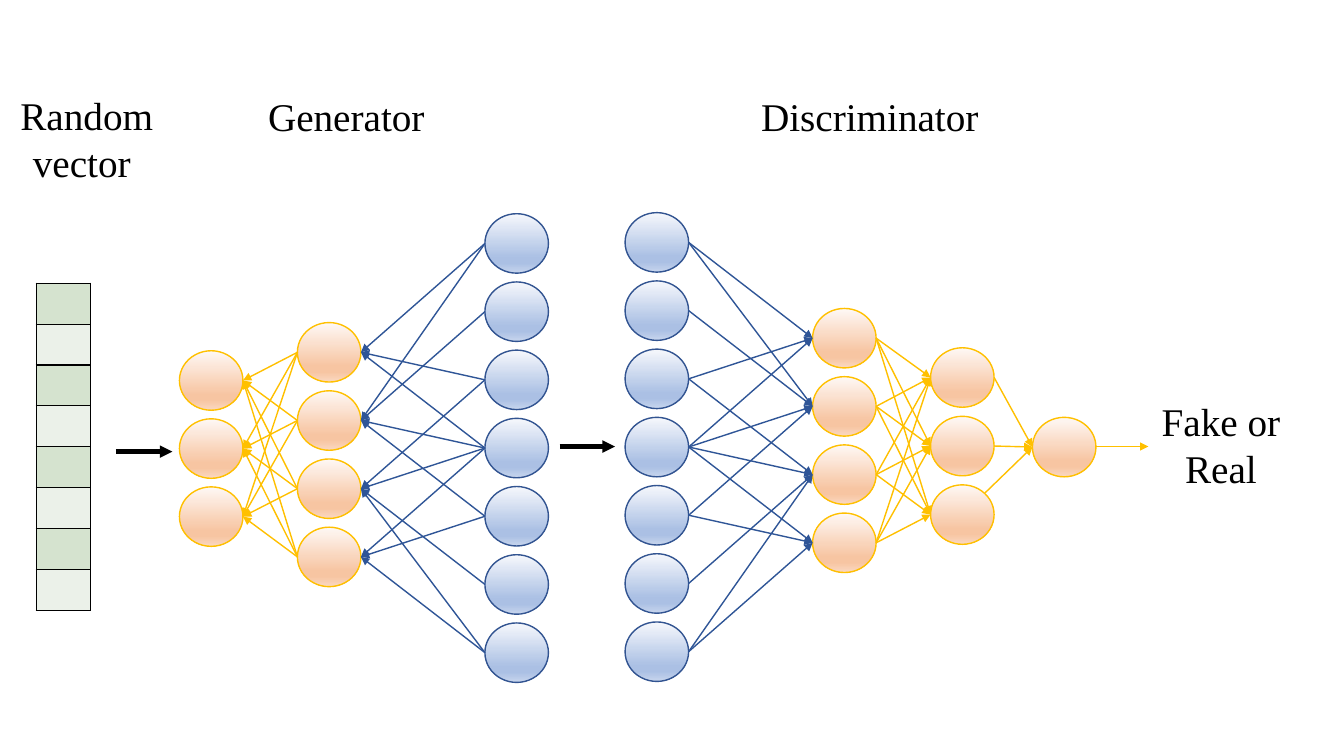
from dataclasses import dataclass
from itertools import product

from lxml import etree
from pptx import Presentation
from pptx import util as u
from pptx.dml.color import RGBColor
from pptx.enum import shapes, text
from pptx.oxml.ns import qn

BLACK = RGBColor(0x00, 0x00, 0x00)
NAVY = RGBColor(0x32, 0x54, 0x91)
BLUE = RGBColor(0x2F, 0x55, 0x97)
GOLD = RGBColor(0xFF, 0xC0, 0x00)
GREEN = RGBColor(0xD5, 0xE3, 0xCF)
PALE = RGBColor(0xEB, 0xF1, 0xE9)
ICE = RGBColor(0xF6, 0xF8, 0xFC)
SKY = RGBColor(0xAB, 0xC0, 0xE4)
MIST = RGBColor(0xC7, 0xD5, 0xED)
CREAM = RGBColor(0xFE, 0xF8, 0xF5)
PEACH = RGBColor(0xF7, 0xC5, 0xA2)
SAND = RGBColor(0xFA, 0xD8, 0xC1)

FONT = "Times New Roman"
WIDE, HIGH = 0.63, 0.59  # size of a neuron
ROWS, CELL = 8, 0.4


@dataclass
class Skin:
    line: RGBColor
    top: RGBColor
    mid: RGBColor
    low: RGBColor


@dataclass
class Layer:
    left: float
    first: float  # top of the first neuron
    last: float  # top of the last neuron
    count: int
    skin: Skin

    @property
    def right(self) -> float:
        return self.left + WIDE

    def top(self, i: int) -> float:
        return self.first + (self.last - self.first) * i / max(self.count - 1, 1)

    def mid(self, i: int) -> float:
        return self.top(i) + HIGH / 2


@dataclass
class Label:
    left: float
    top: float
    width: float
    height: float
    lines: list[str]
    align: text.PP_ALIGN
    wrap: bool = True


COOL = Skin(NAVY, ICE, SKY, MIST)
WARM = Skin(GOLD, CREAM, PEACH, SAND)

# Generator layers, then discriminator layers
GEN_IN = Layer(1.78, 3.48, 4.83, 3, WARM)
GEN_MID = Layer(2.95, 3.2, 5.23, 4, WARM)
GEN_OUT = Layer(4.81, 2.12, 6.18, 7, COOL)
DIS_IN = Layer(6.2, 2.11, 6.17, 7, COOL)
DIS_MID = Layer(8.06, 3.06, 5.09, 4, WARM)
DIS_LOW = Layer(9.23, 3.45, 4.81, 3, WARM)
DIS_OUT = Layer(10.24, 4.14, 4.14, 1, WARM)
LAYERS = [GEN_IN, GEN_MID, GEN_OUT, DIS_IN, DIS_MID, DIS_LOW, DIS_OUT]

# Links from each of the seven blue neurons to the four orange ones
SPARSE = [(0, 1), (1,), (0, 2), (0, 1, 2, 3), (1, 3), (2,), (2, 3)]
BLUES = [(i, j) for i, ends in enumerate(SPARSE) for j in ends]
GOLDS = list(product(range(4), range(3)))

LABELS = [
    Label(11.39, 3.89, 1.44, 1.04, ["Fake or", "Real"], text.PP_ALIGN.CENTER, False),
    Label(2.56, 0.87, 2.88, 0.57, ["Generator"], text.PP_ALIGN.LEFT),
    Label(7.45, 0.87, 2.88, 0.57, ["Discriminator"], text.PP_ALIGN.LEFT),
    Label(-0.58, 0.86, 2.88, 1.04, ["Random", "vector "], text.PP_ALIGN.CENTER),
]


def add_layer(slide, layer: Layer) -> None:
    skin = layer.skin
    for i in range(layer.count):
        node = slide.shapes.add_shape(
            shapes.MSO_SHAPE.OVAL, u.Inches(layer.left), u.Inches(layer.top(i)),
            u.Inches(WIDE), u.Inches(HIGH))
        node.shadow.inherit = False
        node.line.color.rgb = skin.line
        node.line.width = u.Pt(1)
        node.fill.gradient()
        node.fill.gradient_angle = 270
        stops = node._element.spPr.find(".//" + qn("a:gsLst"))
        for old in list(stops):
            stops.remove(old)
        for pos, tint in ((0, skin.top), (74, skin.mid), (83, skin.mid), (100, skin.low)):
            stop = etree.SubElement(stops, qn("a:gs"), pos=str(pos * 1000))
            etree.SubElement(stop, qn("a:srgbClr"), val=str(tint))


def add_arrow(slide, x1: float, y1: float, x2: float, y2: float,
              color: RGBColor, width: float = 1) -> None:
    arrow = slide.shapes.add_connector(
        shapes.MSO_CONNECTOR.STRAIGHT, *map(u.Inches, (x1, y1, x2, y2)))
    arrow.line.color.rgb = color
    arrow.line.width = u.Pt(width)
    etree.SubElement(arrow.line._get_or_add_ln(), qn("a:tailEnd"), type="triangle")
    etree.SubElement(arrow._element.spPr, qn("a:effectLst"))


def add_links(slide, src: Layer, dst: Layer, pairs: list[tuple[int, int]],
              color: RGBColor) -> None:
    ahead = src.left < dst.left
    x1, x2 = (src.right, dst.left) if ahead else (src.left, dst.right)
    for i, j in pairs:
        add_arrow(slide, x1, src.mid(i), x2, dst.mid(j), color)


def add_vector(slide) -> None:
    grid = slide.shapes.add_table(
        ROWS, 1, u.Inches(0.36), u.Inches(2.81), u.Inches(0.54), u.Inches(ROWS * CELL)).table
    grid.first_row = grid.horz_banding = False
    for i in range(ROWS):
        cell = grid.cell(i, 0)
        props = cell._tc.get_or_add_tcPr()
        for side in ("lnL", "lnR", "lnT", "lnB"):
            edge = etree.SubElement(props, qn("a:" + side), w=str(u.Pt(1)))
            fill = etree.SubElement(edge, qn("a:solidFill"))
            etree.SubElement(fill, qn("a:srgbClr"), val=str(BLACK))
        cell.fill.solid()
        cell.fill.fore_color.rgb = PALE if i % 2 else GREEN


def add_label(slide, label: Label) -> None:
    box = slide.shapes.add_textbox(
        *map(u.Inches, (label.left, label.top, label.width, label.height)))
    frame = box.text_frame
    frame.word_wrap = label.wrap
    frame.auto_size = text.MSO_AUTO_SIZE.SHAPE_TO_FIT_TEXT
    for i, line in enumerate(label.lines):
        para = frame.add_paragraph() if i else frame.paragraphs[0]
        para.alignment = label.align
        run = para.add_run()
        run.text = line
        run.font.name = FONT
        run.font.size = u.Pt(28)
        run.font.color.rgb = BLACK


def main() -> None:
    deck = Presentation()
    deck.slide_width, deck.slide_height = u.Inches(13.33), u.Inches(7.5)
    slide = deck.slides.add_slide(deck.slide_layouts[6])

    # Neurons
    for layer in LAYERS:
        add_layer(slide, layer)

    # Links inside the two networks
    add_links(slide, GEN_OUT, GEN_MID, BLUES, BLUE)
    add_links(slide, GEN_MID, GEN_IN, GOLDS, GOLD)
    add_links(slide, DIS_IN, DIS_MID, BLUES, BLUE)
    add_links(slide, DIS_MID, DIS_LOW, GOLDS, GOLD)
    add_links(slide, DIS_LOW, DIS_OUT, [(0, 0), (1, 0)], GOLD)
    add_arrow(slide, 9.77, 4.89, DIS_OUT.left, DIS_OUT.mid(0), GOLD)

    # Flow from the vector to the verdict
    add_vector(slide)
    add_arrow(slide, 1.15, 4.48, 1.71, 4.48, BLACK, 3)
    add_arrow(slide, 5.55, 4.43, 6.1, 4.43, BLACK, 3)
    add_arrow(slide, DIS_OUT.right, 4.43, 11.39, 4.43, GOLD)

    # Labels
    for label in LABELS:
        add_label(slide, label)

    deck.save("out.pptx")


if __name__ == "__main__":
    main()
